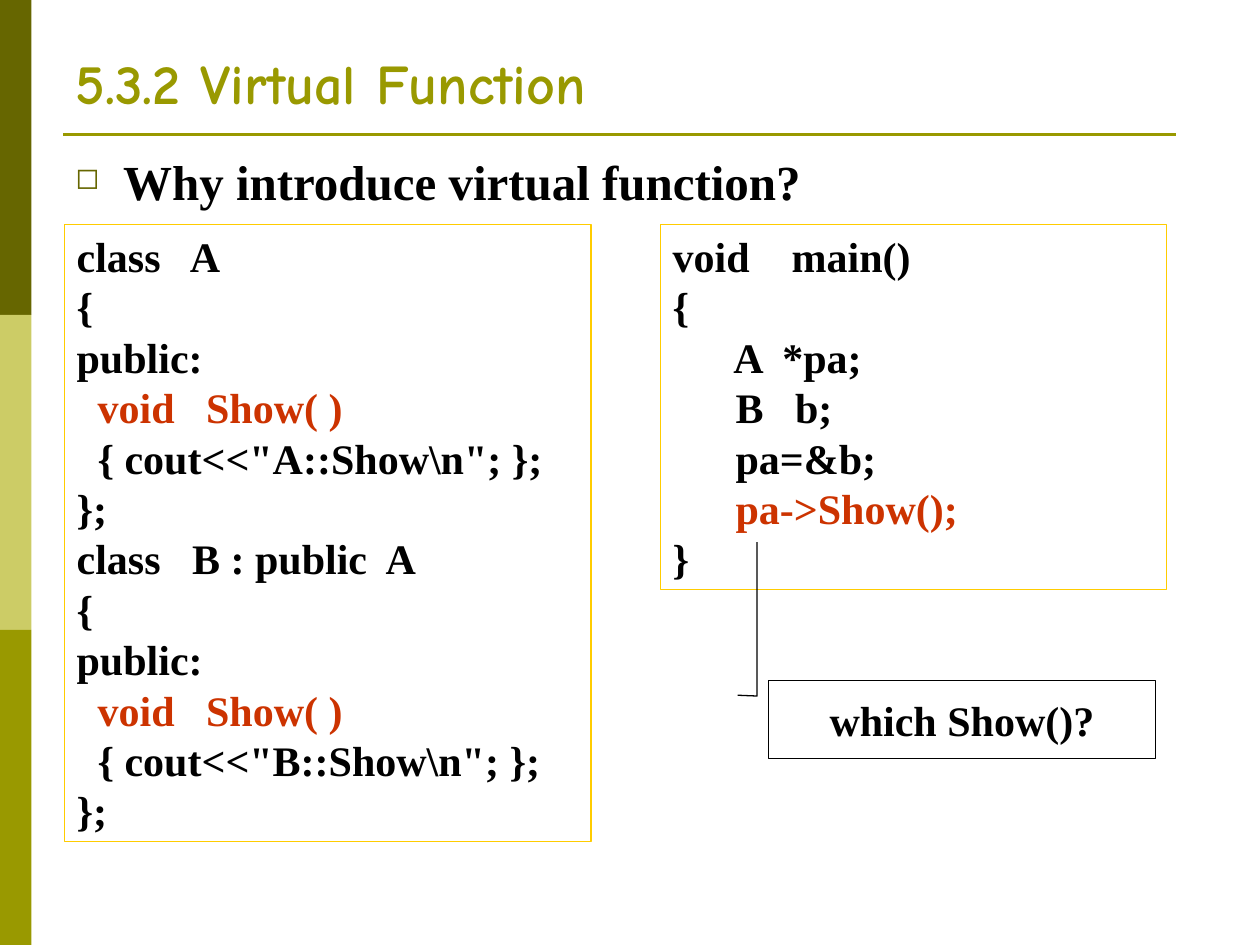
from dataclasses import dataclass

from lxml import etree
from pptx import Presentation
from pptx.dml.color import RGBColor
from pptx.enum.shapes import MSO_CONNECTOR, MSO_SHAPE
from pptx.enum.text import MSO_ANCHOR, PP_ALIGN
from pptx.oxml.ns import qn
from pptx.util import Inches, Pt


@dataclass(frozen=True)
class Theme:
    dark: RGBColor = RGBColor(0x66, 0x66, 0x00)
    pale: RGBColor = RGBColor(0xCC, 0xCC, 0x66)
    olive: RGBColor = RGBColor(0x99, 0x99, 0x00)
    gold: RGBColor = RGBColor(0xFF, 0xCC, 0x00)
    red: RGBColor = RGBColor(0xCC, 0x33, 0x00)
    black: RGBColor = RGBColor(0, 0, 0)
    white: RGBColor = RGBColor(0xFF, 0xFF, 0xFF)
    title_font: str = "Comic Neue"
    body_font: str = "Times New Roman"
    title_size: Pt = Pt(32)
    body_size: Pt = Pt(28)
    code_size: Pt = Pt(24)


theme = Theme()


def add_box(kind, left, top, width, height, fill=None, line=None):
    box = page.shapes.add_shape(
        kind, Inches(left), Inches(top), Inches(width), Inches(height))
    box.shadow.inherit = False
    if fill is None:
        box.fill.background()
    else:
        box.fill.solid()
        box.fill.fore_color.rgb = fill
    if line is None:
        box.line.fill.background()
    else:
        box.line.color.rgb = line
        box.line.width = Pt(0.75)
    return box


def style(font, name, size, color):
    font.name = name
    font.size = size
    font.bold = True
    font.color.rgb = color


deck = Presentation()
deck.slide_width, deck.slide_height = Inches(10), Inches(7.5)
page = deck.slides.add_slide(deck.slide_layouts[6])

# Side band and title rule
for index, color in enumerate((theme.dark, theme.pale, theme.olive)):
    add_box(MSO_SHAPE.RECTANGLE, 0, index * 2.5, 0.25, 2.5, fill=color)

rule = page.shapes.add_connector(
    MSO_CONNECTOR.STRAIGHT, Inches(0.5), Inches(1.07), Inches(9.33), Inches(1.07))
rule.line.color.rgb = theme.olive
rule.line.width = Pt(1.5)
etree.SubElement(rule._element.spPr, qn("a:effectLst"))

# Title
title = page.shapes.add_textbox(Inches(0.5), Inches(0.28), Inches(9), Inches(0.69))
title.text_frame.word_wrap = True
title.text_frame.vertical_anchor = MSO_ANCHOR.BOTTOM
title.text_frame.text = "5.3.2 Virtual Function"
style(title.text_frame.paragraphs[0].runs[0].font,
      theme.title_font, theme.title_size, theme.olive)

# Question with a hollow square bullet
question = page.shapes.add_textbox(Inches(0.5), Inches(1.15), Inches(9), Inches(0.79))
question.text_frame.word_wrap = True
question.text_frame.text = "Why introduce virtual function?"
para = question.text_frame.paragraphs[0]
properties = para._p.get_or_add_pPr()
properties.set("marL", str(Inches(0.38)))
properties.set("indent", str(-Inches(0.38)))
bullet_color = etree.SubElement(properties, qn("a:buClr"))
etree.SubElement(bullet_color, qn("a:srgbClr"), val=str(theme.dark))
etree.SubElement(properties, qn("a:buSzPct"), val="60000")
etree.SubElement(properties, qn("a:buChar"), char="◻")
style(para.runs[0].font, theme.body_font, theme.body_size, theme.black)

# Code panels: left, width, height, source
class_code = r"""class   A
{
public:
  void   Show( )
  { cout<<"A::Show\n"; };
};
class   B : public  A
{
public:
  void   Show( )
  { cout<<"B::Show\n"; };
};"""
main_code = """void    main()
{
      A  *pa;
      B   b;
      pa=&b;
      pa->Show();
}"""
highlights = ("void   Show( )", "pa->Show();")

for left, width, height, code in ((0.51, 4.18, 4.9, class_code),
                                  (5.24, 4.02, 2.9, main_code)):
    panel = add_box(MSO_SHAPE.RECTANGLE, left, 1.78, width, height,
                    fill=theme.white, line=theme.gold)
    frame = panel.text_frame
    frame.vertical_anchor = MSO_ANCHOR.TOP
    frame.text = code
    for para in frame.paragraphs:
        para.alignment = PP_ALIGN.LEFT
        color = theme.red if para.text.strip() in highlights else theme.black
        style(para.runs[0].font, theme.body_font, theme.code_size, color)

# Callout pointing at the call
callout = add_box(MSO_SHAPE.LINE_CALLOUT_2, 6.1, 5.4, 3.07, 0.62, line=theme.black)
for index, value in enumerate((0.19, -0.08, 0.2, -0.03, -1.77, -0.03)):
    callout.adjustments[index] = value
callout.text_frame.vertical_anchor = MSO_ANCHOR.MIDDLE
callout.text_frame.text = "which Show()?"
para = callout.text_frame.paragraphs[0]
para.alignment = PP_ALIGN.CENTER
style(para.runs[0].font, theme.body_font, theme.code_size, theme.black)

deck.save("out.pptx")
